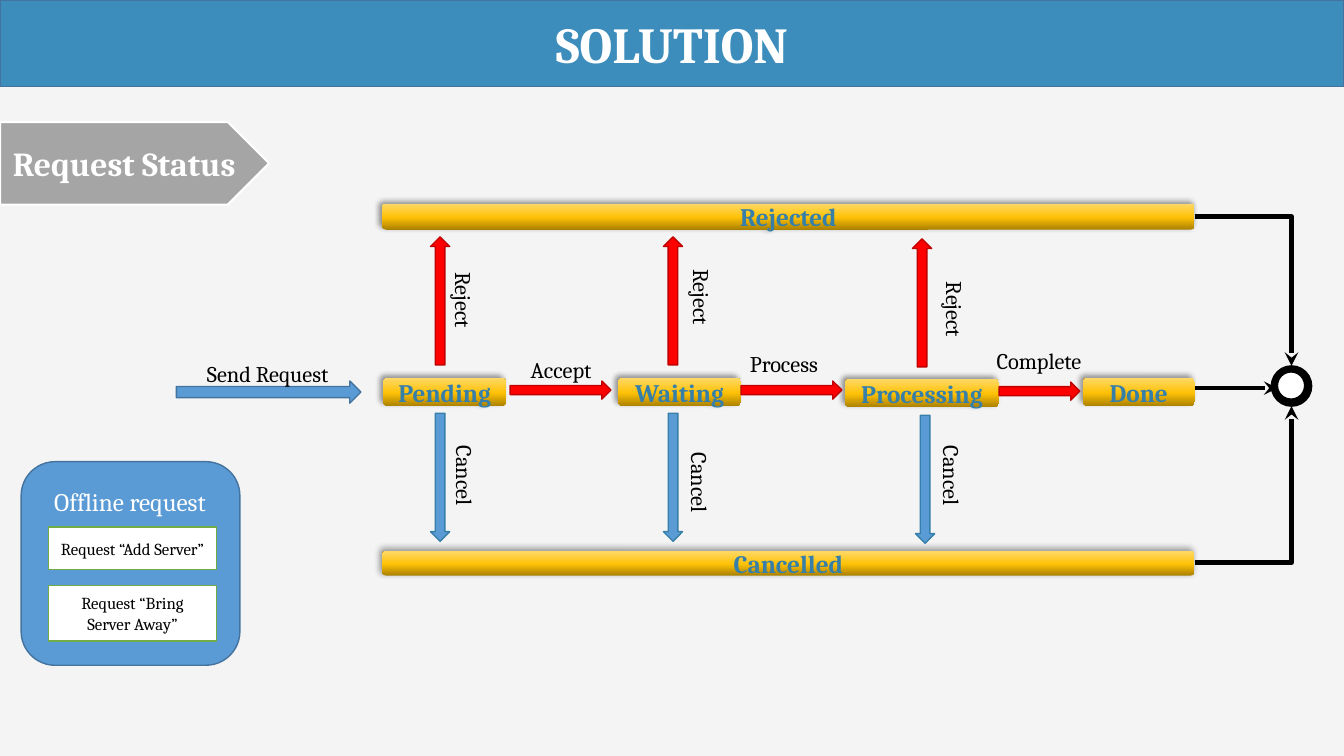
from lxml.etree import SubElement
from pptx import Presentation
from pptx.dml.color import RGBColor
from pptx.enum.shapes import MSO_CONNECTOR as LINK, MSO_SHAPE as SHAPE
from pptx.enum.text import MSO_ANCHOR as ANCHOR, PP_ALIGN as ALIGN
from pptx.oxml.ns import qn
from pptx.util import Inches, Pt

COLORS = {
    "page": "F4F4F4", "banner": "3C8DBC", "blue": "5B9BD5", "navy": "43739E",
    "steel": "367FA9", "red": "FF0000", "crimson": "C00000", "green": "70AD47",
    "grey": "A5A5A5", "white": "FFFFFF", "black": "000000",
    "gold_dark": "AB8100", "gold": "FFC208", "gold_light": "FFD966",
}


def write(box, text, size, color, bold=False, anchor=ANCHOR.MIDDLE):
    frame = box.text_frame
    frame.word_wrap = True
    frame.vertical_anchor = anchor
    frame.text = text
    para = frame.paragraphs[0]
    para.alignment = ALIGN.CENTER
    font = para.runs[0].font
    font.name, font.size, font.bold = "Cambria", Pt(size), bold
    font.color.rgb = RGBColor.from_string(COLORS[color])
    return para


def draw(kind, place, fill, line=None, width=1, turn=0):
    shape = page.shapes.add_shape(kind, *[Inches(value) for value in place])
    shape.shadow.inherit = False
    shape.rotation = turn
    shape.fill.solid()
    shape.fill.fore_color.rgb = RGBColor.from_string(COLORS[fill])
    if line:
        shape.line.color.rgb = RGBColor.from_string(COLORS[line])
        shape.line.width = Pt(width)
    else:
        shape.line.fill.background()
    return shape


deck = Presentation()
deck.slide_width, deck.slide_height = Inches(13.33), Inches(7.5)
page = deck.slides.add_slide(deck.slide_layouts[5])
page.background.fill.solid()
page.background.fill.fore_color.rgb = RGBColor.from_string(COLORS["page"])

title = page.shapes.title
title.left, title.top = Inches(0), Inches(0)
title.width, title.height = Inches(13.33), Inches(0.86)
title.fill.solid()
title.fill.fore_color.rgb = RGBColor.from_string(COLORS["banner"])
title.line.color.rgb = RGBColor.from_string(COLORS["navy"])
title.line.width = Pt(1)
write(title, "SOLUTION", 36, "white", True)

heading = draw(SHAPE.PENTAGON, (0, 1.21, 2.67, 0.82), "grey", "white", 1.5)
write(heading, "Request Status", 24, "white", True)

draw(SHAPE.ROUNDED_RECTANGLE, (0.21, 4.58, 2.17, 2.02), "blue", "navy")
offline = draw(SHAPE.RECTANGLE, (0.32, 4.71, 1.94, 0.52), "blue")
write(offline, "Offline request", 18, "white")
for text, top, height in [
    ("Request “Add Server”", 5.23, 0.42),
    ("Request “Bring Server Away”", 5.81, 0.55),
]:
    card = draw(SHAPE.RECTANGLE, (0.48, top, 1.67, height), "white", "green")
    write(card, text, 12, "black")

for text, *place in [
    ("Pending", 3.8, 3.75, 1.22, 0.28),
    ("Waiting", 6.13, 3.75, 1.22, 0.28),
    ("Processing", 8.38, 3.76, 1.53, 0.28),
    ("Done", 10.74, 3.75, 1.11, 0.28),
    ("Rejected", 3.79, 2.02, 8.06, 0.26),
    ("Cancelled", 3.79, 5.47, 8.06, 0.24),
]:
    status = draw(SHAPE.ROUNDED_RECTANGLE, place, "gold")
    status.fill.gradient()
    status.fill.gradient_angle = 90
    properties = status.element.spPr
    stops = properties.find(qn("a:gradFill")).find(qn("a:gsLst"))
    for stop in list(stops):
        stops.remove(stop)
    for position, name in [(0, "gold_dark"), (48, "gold"), (100, "gold_light")]:
        stop = SubElement(stops, qn("a:gs"), pos=str(position * 1000))
        SubElement(stop, qn("a:srgbClr"), val=COLORS[name])
    shadow = SubElement(
        properties.find(qn("a:effectLst")), qn("a:outerShdw"),
        blurRad=str(Pt(4)), dist=str(Pt(3)), dir=str(225 * 60000),
        algn="br", rotWithShape="0",
    )
    tint = SubElement(shadow, qn("a:srgbClr"), val=COLORS["black"])
    SubElement(tint, qn("a:alpha"), val="40000")
    write(status, text, 18, "steel", True)

draw(SHAPE.RIGHT_ARROW, (1.75, 3.78, 1.83, 0.22), "blue", "navy")
for left, top, width in [(5.06, 3.78, 1), (7.35, 3.78, 1), (9.91, 3.79, 0.8)]:
    draw(SHAPE.RIGHT_ARROW, (left, top, width, 0.18), "red", "crimson")
for reject_left, cancel_left, drop in [(3.73, 3.73, 0), (6.04, 6.04, 0), (8.51, 8.54, 0.02)]:
    draw(SHAPE.RIGHT_ARROW, (reject_left, 2.89 + drop, 1.27, 0.19), "red", "crimson", turn=270)
    draw(SHAPE.RIGHT_ARROW, (cancel_left, 4.64 + drop, 1.27, 0.19), "blue", "steel", turn=90)

for text, left, top, turn in [
    ("Send Request", 1.82, 3.55, 0),
    ("Accept", 4.73, 3.51, 0),
    ("Process", 6.94, 3.46, 0),
    ("Complete", 9.47, 3.43, 0),
    ("Reject", 3.74, 2.8, 90),
    ("Reject", 6.1, 2.77, 90),
    ("Reject", 8.61, 2.89, 90),
    ("Cancel", 3.75, 4.54, 90),
    ("Cancel", 6.08, 4.61, 90),
    ("Cancel", 8.58, 4.54, 90),
]:
    label = page.shapes.add_textbox(Inches(left), Inches(top), Inches(1.67), Inches(0.36))
    label.rotation = turn
    write(label, text, 16, "black", anchor=ANCHOR.TOP).line_spacing = 0.9

draw(SHAPE.OVAL, (12.61, 3.63, 0.4, 0.4), "black", "black")
draw(SHAPE.OVAL, (12.67, 3.69, 0.27, 0.27), "white", "black")

for kind, start, end_x, end_y in [
    (LINK.ELBOW, 2.15, 12.81, 3.63),
    (LINK.ELBOW, 5.58, 12.81, 4.03),
    (LINK.STRAIGHT, 3.85, 12.67, 3.85),
]:
    link = page.shapes.add_connector(
        kind, Inches(11.85), Inches(start), Inches(end_x), Inches(end_y)
    )
    link.line.color.rgb = RGBColor.from_string(COLORS["black"])
    link.line.width = Pt(3.25)
    properties = link.element.spPr
    if kind == LINK.ELBOW:
        properties.find(qn("a:prstGeom")).set("prst", "bentConnector2")
    SubElement(properties.find(qn("a:ln")), qn("a:tailEnd"), type="stealth")
    SubElement(properties, qn("a:effectLst"))

deck.save("out.pptx")
